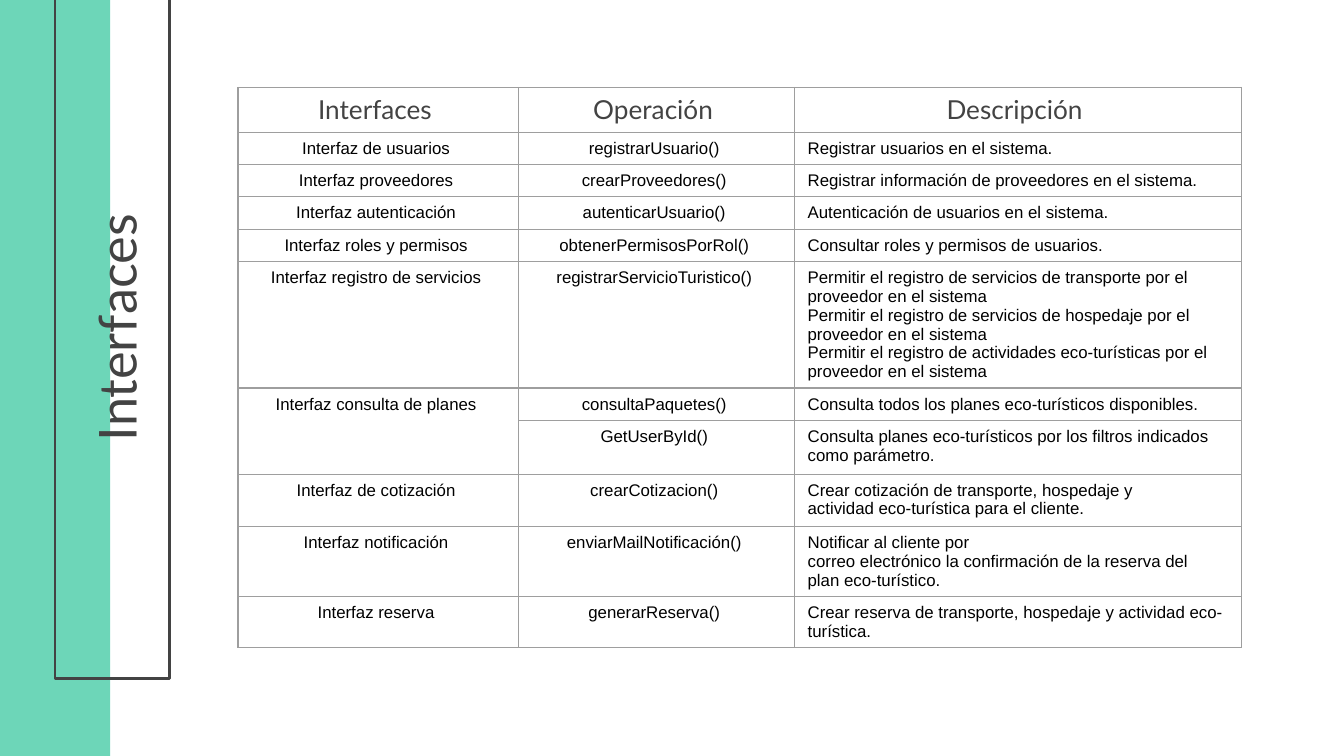
from lxml import etree
from pptx import Presentation
from pptx.dml.color import RGBColor
from pptx.enum import shapes, text
from pptx.oxml.ns import qn
from pptx.util import Inches, Pt

COLORS = {"mint": "6DD6B8", "charcoal": "434343", "body": "000000", "grid": "9E9E9E"}
HARD_SPACE = chr(160)

TITLE = "Interfaces"
HEADERS = ["Interfaces", "Operación", "Descripción"]
# Interface, operation, description paragraphs, row height; ~ ties two words together
OPERATIONS = [
    ("Interfaz de usuarios", "registrarUsuario()",
     ["Registrar usuarios en el sistema."], 0.24),
    ("Interfaz proveedores", "crearProveedores()",
     ["Registrar información de proveedores en el sistema."], 0.24),
    ("Interfaz autenticación", "autenticarUsuario()",
     ["Autenticación de usuarios en el sistema."], 0.24),
    ("Interfaz roles y permisos", "obtenerPermisosPorRol()",
     ["Consultar roles y permisos de usuarios."], 0.24),
    ("Interfaz registro de servicios", "registrarServicioTuristico()",
     ["Permitir~el registro~de servicios de transporte por el proveedor en el sistema",
      "Permitir~el registro~de servicios de hospedaje por el proveedor en el sistema",
      "Permitir~el registro~de actividades eco-turísticas~por el proveedor en el sistema"],
     0.94),
    ("Interfaz consulta de planes", "consultaPaquetes()",
     ["Consulta todos los planes~eco-turísticos~disponibles."], 0.24),
    (None, "GetUserById()",
     ["Consulta planes~eco-turísticos~por los filtros indicados como~parámetro."], 0.4),
    ("Interfaz de cotización", "crearCotizacion()",
     ["Crear cotización~de transporte, hospedaje y actividad~eco-turística~para el cliente."],
     0.39),
    ("Interfaz notificación", "enviarMailNotificación()",
     ["Notificar al cliente por correo~electrónico~la~confirmación~de la reserva del "
      "plan~eco-turístico."], 0.52),
    ("Interfaz reserva", "generarReserva()",
     ["Crear reserva de transporte, hospedaje y actividad~eco-turística."], 0.38),
]
COLUMN_WIDTHS = [2.09, 2.05, 3.33]
HEADER_HEIGHT = 0.33


def rgb(name):
    return RGBColor.from_string(COLORS[name])


def add_run(paragraph, words, font, size, color, align):
    paragraph.alignment = align
    run = paragraph.add_run()
    run.text = words
    run.font.name = font
    run.font.size = Pt(size)
    run.font.bold = False
    run.font.color.rgb = rgb(color)


def add_rectangle(slide, left, top, width, height):
    rectangle = slide.shapes.add_shape(
        shapes.MSO_SHAPE.RECTANGLE,
        Inches(left), Inches(top), Inches(width), Inches(height))
    rectangle.shadow.inherit = False
    return rectangle


def add_sidebar(slide):
    band = add_rectangle(slide, -0.02, -0.04, 0.84, 5.67)
    band.fill.solid()
    band.fill.fore_color.rgb = rgb("mint")
    band.line.fill.background()
    frame = add_rectangle(slide, 0.41, -0.09, 0.85, 5.14)
    frame.fill.background()
    frame.line.color.rgb = rgb("charcoal")
    frame.line.width = Pt(1.5)


def place_title(slide):
    title = slide.shapes.title
    title.left, title.top = Inches(-1.29), Inches(3.35)
    title.width, title.height = Inches(4.34), Inches(0.63)
    title.rotation = 270
    body = title.text_frame
    body.word_wrap = True
    body.auto_size = text.MSO_AUTO_SIZE.NONE
    body.vertical_anchor = text.MSO_ANCHOR.BOTTOM
    body.margin_left = body.margin_right = Inches(0.1)
    body.margin_top = body.margin_bottom = Inches(0.1)
    add_run(body.paragraphs[0], TITLE, "Lato", 28, "charcoal", text.PP_ALIGN.RIGHT)
    # Bring the title in front of the sidebar
    title.element.getparent().append(title.element)


def outline_cell(cell):
    cell.fill.background()
    properties = cell._tc.get_or_add_tcPr()
    for position, side in enumerate(("lnL", "lnR", "lnT", "lnB")):
        border = etree.Element(qn(f"a:{side}"), w=str(Pt(0.75)))
        fill = etree.SubElement(border, qn("a:solidFill"))
        etree.SubElement(fill, qn("a:srgbClr"), val=COLORS["grid"])
        properties.insert(position, border)


def fill_cell(cell, paragraphs, font, size, color, align):
    """Write the paragraphs, each closed by a hard space, with ties made hard."""
    body = cell.text_frame
    for index, words in enumerate(paragraphs):
        paragraph = body.add_paragraph() if index else body.paragraphs[0]
        add_run(paragraph, f"{words}~".replace("~", HARD_SPACE),
                font, size, color, align)


def add_operations_table(slide):
    heights = [HEADER_HEIGHT] + [row[-1] for row in OPERATIONS]
    table = slide.shapes.add_table(
        len(heights), len(COLUMN_WIDTHS), Inches(1.77), Inches(0.65),
        Inches(sum(COLUMN_WIDTHS)), Inches(sum(heights))).table
    table.first_row = table.horz_banding = False
    for column, width in zip(table.columns, COLUMN_WIDTHS):
        column.width = Inches(width)
    for row, height in zip(table.rows, heights):
        row.height = Inches(height)
    for cell in table.iter_cells():
        outline_cell(cell)

    center, left = text.PP_ALIGN.CENTER, text.PP_ALIGN.LEFT
    for column, header in enumerate(HEADERS):
        fill_cell(table.cell(0, column), [header], "Lato", 14, "charcoal", center)
    for row, (interface, operation, description, _) in enumerate(OPERATIONS, start=1):
        if interface:
            fill_cell(table.cell(row, 0), [interface], "Arial", 9, "body", center)
        else:
            table.cell(row - 1, 0).merge(table.cell(row, 0))
        fill_cell(table.cell(row, 1), [operation], "Arial", 9, "body", center)
        fill_cell(table.cell(row, 2), description, "Arial", 9, "body", left)


def main():
    deck = Presentation()
    deck.slide_width = Inches(10)
    deck.slide_height = deck.slide_width * 9 // 16
    slide = deck.slides.add_slide(deck.slide_layouts[5])
    add_sidebar(slide)
    place_title(slide)
    add_operations_table(slide)
    deck.save("out.pptx")


if __name__ == "__main__":
    main()
